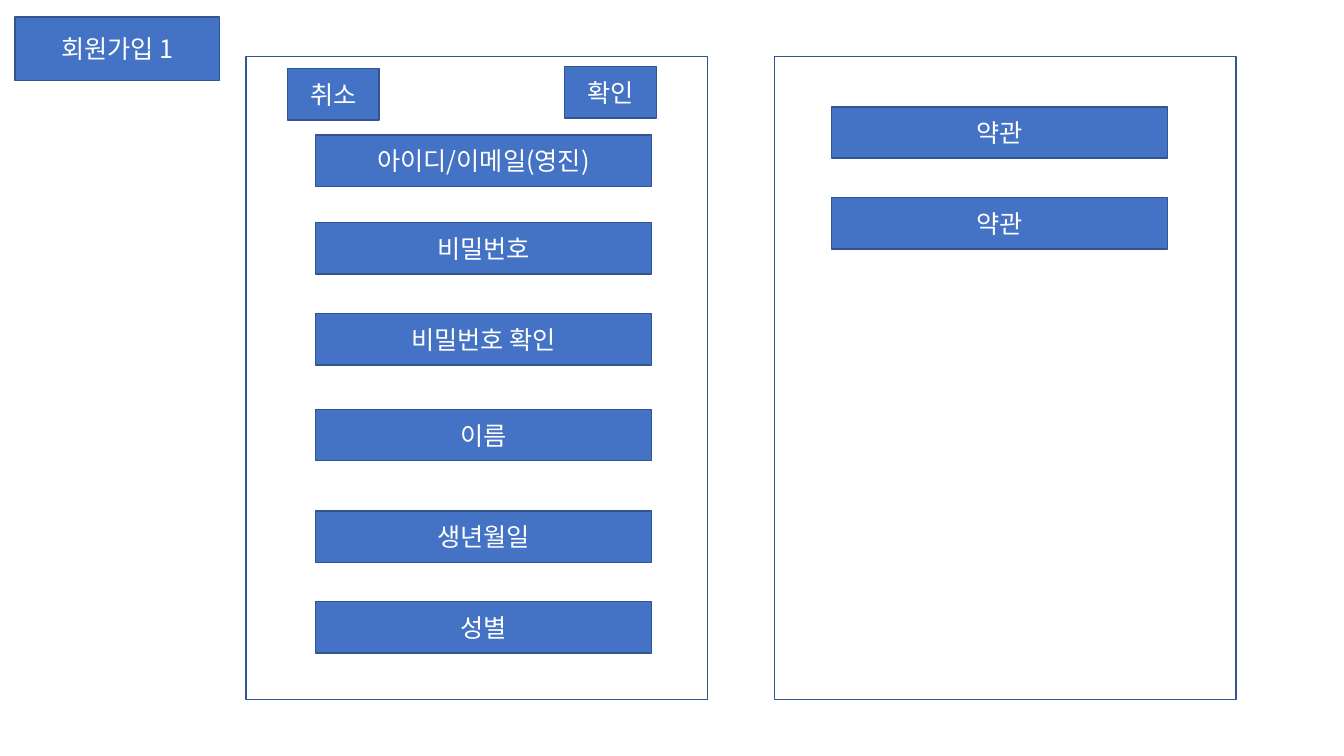
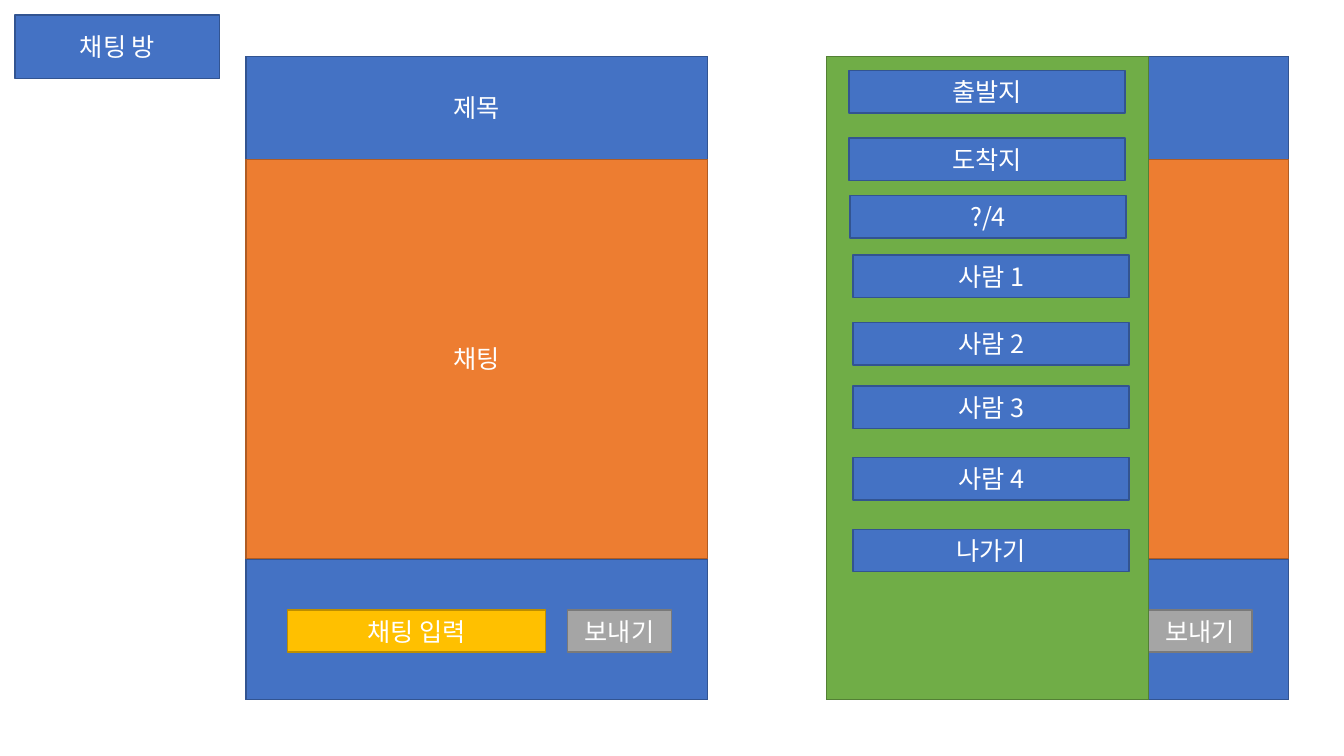
from dataclasses import dataclass

from lxml import etree
from pptx import Presentation
from pptx.dml.color import RGBColor
from pptx.enum.shapes import MSO_SHAPE
from pptx.enum.text import MSO_ANCHOR, PP_ALIGN
from pptx.oxml.ns import qn
from pptx.util import Inches, Pt

RECT = MSO_SHAPE.RECTANGLE
MIDDLE = MSO_ANCHOR.MIDDLE
CENTER = PP_ALIGN.CENTER


@dataclass(frozen=True)
class Theme:
    """Fill and line pairs, font and sizes shared by the slides."""
    blue: tuple = ("4472C4", "325491")
    white: tuple = ("FFFFFF", "325491")
    orange: tuple = ("ED7D31", "AF5C24")
    gold: tuple = ("FFC000", "BD8E00")
    gray: tuple = ("A5A5A5", "7A7A7A")
    green: tuple = ("70AD47", "538035")
    ink: str = "FFFFFF"
    font: str = "Noto Sans CJK KR"
    size: int = 18
    edge: int = 1


theme = Theme()
TOP, WIDE, HIGH = 0.56, 4.58, 6.38
LEFT = 2.44


def box(slide, left, top, width, height, text="", tone=theme.blue):
    """Draw a rectangle with a centred label."""
    shape = slide.shapes.add_shape(
        RECT, Inches(left), Inches(top), Inches(width), Inches(height))
    shape.shadow.inherit = False
    fill, line = tone
    shape.fill.solid()
    shape.fill.fore_color.rgb = RGBColor.from_string(fill)
    shape.line.color.rgb = RGBColor.from_string(line)
    shape.line.width = Pt(theme.edge)
    if text:
        frame = shape.text_frame
        frame.word_wrap = True
        frame.vertical_anchor = MIDDLE
        para = frame.paragraphs[0]
        para.text = text
        para.alignment = CENTER
        para.font.size = Pt(theme.size)
        para.font.color.rgb = RGBColor.from_string(theme.ink)
        para.font.name = theme.font
        props = para._p.pPr.find(qn("a:defRPr"))
        etree.SubElement(props, qn("a:ea"), typeface=theme.font)


def page(deck, title, top, lefts):
    """Add a slide with its title tag and empty phone screens."""
    slide = deck.slides.add_slide(deck.slide_layouts[6])
    for left in lefts:
        box(slide, left, TOP, WIDE, HIGH, tone=theme.white)
    box(slide, 0.15, top, 2.03, 0.63, title)
    return slide


deck = Presentation()
deck.slide_width = Inches(13.33)
deck.slide_height = Inches(7.5)

# Sign-up
join = page(deck, "회원가입 1", 0.17, (LEFT, 7.68))
fields = [
    (3.13, 1.34, "아이디/이메일(영진)"),
    (3.13, 2.21, "비밀번호"),
    (3.13, 3.11, "비밀번호 확인"),
    (3.13, 4.06, "이름"),
    (3.13, 5.07, "생년월일"),
    (3.13, 5.97, "성별"),
    (8.25, 1.06, "약관"),
    (8.25, 1.96, "약관"),
]
for left, top, text in fields:
    box(join, left, top, 3.33, 0.51, text)
for left, top, text in [(5.6, 0.66, "확인"), (2.85, 0.68, "취소")]:
    box(join, left, top, 0.91, 0.51, text)

# Chat room, closed and with the side drawer open
rooms = (LEFT, 8.2)
chat = page(deck, "채팅 방", 0.15, rooms)
for left in rooms:
    box(chat, left, TOP, WIDE, 1.02, "제목")
    box(chat, left, 1.58, WIDE, 3.96, "채팅", theme.orange)
    box(chat, left, 5.55, WIDE, 1.39)
    box(chat, left + 3.19, 6.05, 1.03, 0.42, "보내기", theme.gray)
box(chat, 2.85, 6.05, 2.56, 0.42, "채팅 입력", theme.gold)

box(chat, rooms[1], TOP, 3.19, HIGH, tone=theme.green)
items = [
    (8.42, 0.7, "출발지"),
    (8.42, 1.37, "도착지"),
    (8.43, 1.94, "?/4"),
    (8.46, 2.53, "사람 1"),
    (8.46, 3.2, "사람 2"),
    (8.46, 3.83, "사람 3"),
    (8.46, 4.54, "사람 4"),
    (8.46, 5.25, "나가기"),
]
for left, top, text in items:
    box(chat, left, top, 2.74, 0.42, text)

deck.save("out.pptx")
